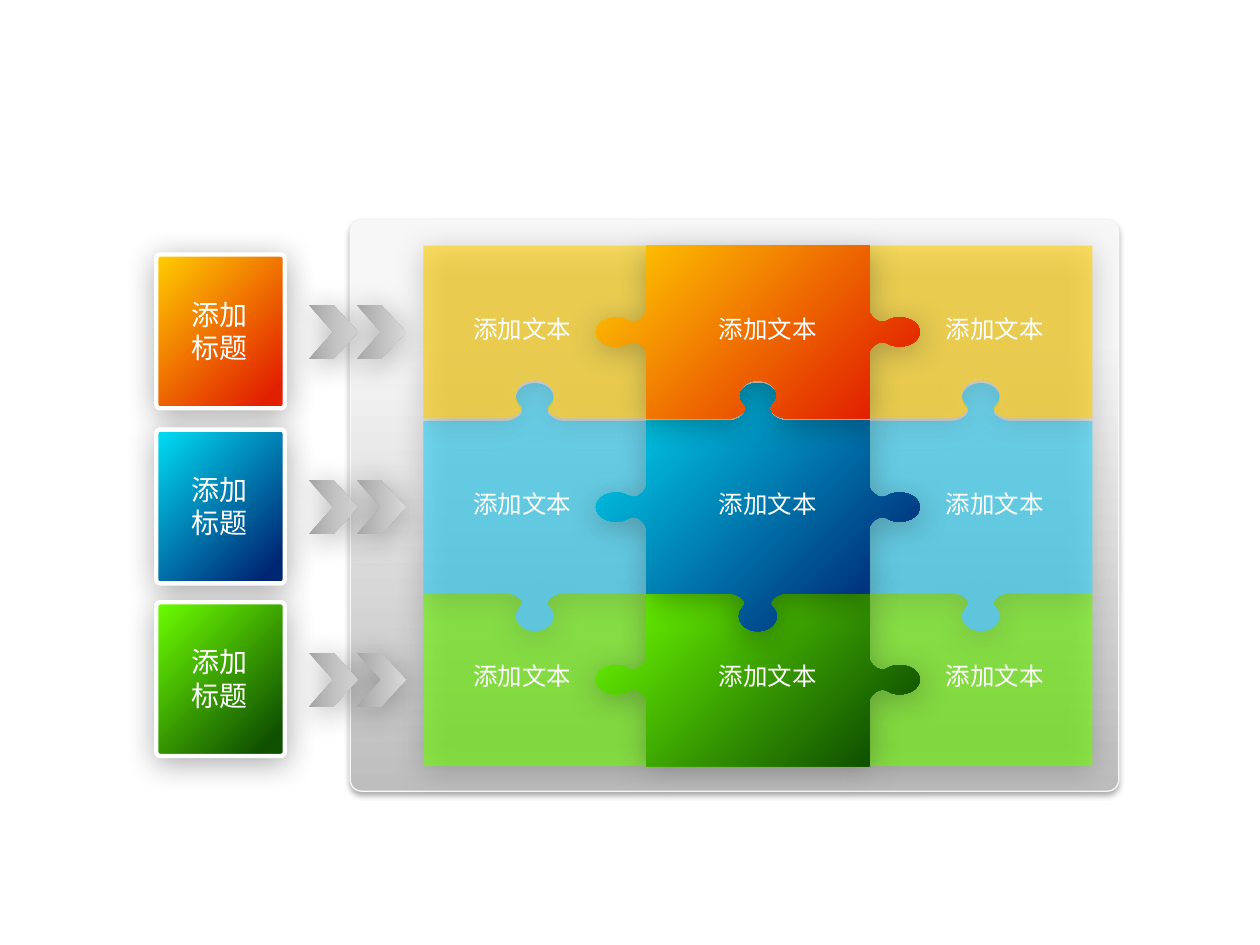
from lxml.etree import SubElement
from pptx import Presentation
from pptx.dml.color import RGBColor
from pptx.enum.shapes import MSO_SHAPE as Shape
from pptx.enum.text import MSO_ANCHOR, MSO_AUTO_SIZE, PP_ALIGN
from pptx.oxml import parse_xml
from pptx.oxml.ns import nsdecls, qn
from pptx.util import Inches, Pt

FONT = "Noto Sans CJK SC"
BLACK, WHITE = RGBColor(0, 0, 0), RGBColor(255, 255, 255)
PANEL_EDGE = RGBColor(0xF9, 0xF9, 0xF9)
PANEL_STOPS = [(0, RGBColor(0xBE, 0xBE, 0xBE)), (80, RGBColor(0xF7, 0xF7, 0xF7)),
               (100, RGBColor(0xF8, 0xF8, 0xF8))]
ARROW_STOPS = [(0, RGBColor(0xA6, 0xA6, 0xA6)), (100, RGBColor(0xD9, 0xD9, 0xD9))]

# One entry per puzzle row: card title, cell texts, pale tint, gradient start and end
ROWS = [
    (["添加", "标题"], ["添加文本"] * 3, RGBColor(0xFF, 0xCF, 0x01),
     RGBColor(0xFF, 0xCF, 0x01), RGBColor(0xE2, 0x20, 0x00)),
    (["添加", "标题"], ["添加文本"] * 3, RGBColor(0x2D, 0xD7, 0xFF),
     RGBColor(0x00, 0xDF, 0xF6), RGBColor(0x00, 0x27, 0x74)),
    (["添加", "标题"], ["添加文本"] * 3, RGBColor(0x6E, 0xFF, 0x01),
     RGBColor(0x6E, 0xFF, 0x01), RGBColor(0x0F, 0x50, 0x00)),
]

# Grid, in inches
ROW_TOPS, ROW_HEIGHT = [1.95, 3.34, 4.71], 1.37
COLUMN_LEFT, COLUMN_WIDTH = 3.36, 1.77
LABEL_LEFTS = [3.41, 5.36, 7.16]
STACKING = [(2, 2), (1, 2), (2, 0), (1, 0), (2, 1), (1, 1), (0, 2), (0, 0), (0, 1)]

# Knobs bulge away from the central piece: sign of the bulge at each inner seam
SEAMS = {1: -1, 2: 1}
ROW_KNOB, COLUMN_KNOB = (0.22, 0.3), (0.17, 0.4)  # half-width along seam, depth

# Knob as a chain of cubic curves, in shares of half-width and depth
HALF_KNOB = [(-1, 0), (-0.77, 0), (-0.27, 0.2), (-0.55, 0.37), (-0.64, 0.43),
             (-0.68, 0.52), (-0.68, 0.6), (-0.68, 0.82), (-0.38, 1)]
KNOB = HALF_KNOB + [(0, 1)] + [(-along, out) for along, out in reversed(HALF_KNOB)]

SOFT_SHADOW = (33, 17.8, 3, 87)  # opacity, blur, distance, direction
PANEL_SHADOW = (35, 3.1, 1.8, 90)


def row_seam(index, middle, y):
    """Knob points along a horizontal seam, left to right; none on the rim."""
    half, depth = ROW_KNOB
    return [(middle + along * half, y + SEAMS[index] * out * depth)
            for along, out in KNOB if index in SEAMS]


def column_seam(index, x, middle):
    """Knob points along a vertical seam, top to bottom; none on the rim."""
    half, depth = COLUMN_KNOB
    return [(x + SEAMS[index] * out * depth, middle + along * half)
            for along, out in KNOB if index in SEAMS]


def piece_segments(row, column):
    """Clockwise segments: one point makes a line, three make a cubic curve."""
    left, top = COLUMN_LEFT + column * COLUMN_WIDTH, ROW_TOPS[row]
    right, bottom = left + COLUMN_WIDTH, top + ROW_HEIGHT
    center, middle = (left + right) / 2, (top + bottom) / 2
    sides = [
        ((left, top), row_seam(row, center, top)),
        ((right, top), column_seam(column + 1, right, middle)),
        ((right, bottom), row_seam(row + 1, center, bottom)[::-1]),
        ((left, bottom), column_seam(column, left, middle)[::-1]),
    ]
    segments = []
    for corner, knob in sides:
        segments.append([corner])
        if knob:
            segments.append(knob[:1])
            segments += [knob[i:i + 3] for i in range(1, len(knob), 3)]
    return segments


def add_piece(shapes, row, column):
    segments = piece_segments(row, column)
    points = [(round(x * 1000), round(y * 1000)) for segment in segments for x, y in segment]
    builder = shapes.build_freeform(*points[0], scale=Inches(1) / 1000)
    builder.add_line_segments(points[1:], close=True)
    piece = builder.convert_to_shape()
    lines = iter(list(piece._element.spPr.iter(qn("a:lnTo"))))
    for segment in segments[1:]:
        nodes = [next(lines) for _ in segment]
        if len(nodes) == 3:
            curve = parse_xml(f'<a:cubicBezTo {nsdecls("a")}/>')
            nodes[0].addprevious(curve)
            for node in nodes:
                curve.append(node[0])
                node.getparent().remove(node)
    return piece


def paint(shape, stops, angle=0, opacity=100, line=None, shadow=SOFT_SHADOW):
    """Fill with one colour or a gradient, then set the outline and outer shadow."""
    if line:
        shape.line.color.rgb, shape.line.width = line[0], Pt(line[1])
    else:
        shape.line.fill.background()
    colors = [f'<a:srgbClr val="{color}"><a:alpha val="{opacity * 1000}"/></a:srgbClr>'
              for _, color in stops]
    if len(stops) == 1:
        fill = f'<a:solidFill {nsdecls("a")}>{colors[0]}</a:solidFill>'
    else:
        marks = "".join(f'<a:gs pos="{position * 1000}">{color}</a:gs>'
                        for (position, _), color in zip(stops, colors))
        fill = (f'<a:gradFill {nsdecls("a")} rotWithShape="1"><a:gsLst>{marks}</a:gsLst>'
                f'<a:lin ang="{angle * 60000}" scaled="0"/></a:gradFill>')
    properties = shape._element.spPr
    properties.find(qn("a:ln")).addprevious(parse_xml(fill))
    alpha, blur, distance, direction = shadow
    properties.append(parse_xml(
        f'<a:effectLst {nsdecls("a")}><a:outerShdw blurRad="{Pt(blur)}" dist="{Pt(distance)}" '
        f'dir="{direction * 60000}" algn="ctr" rotWithShape="0"><a:srgbClr val="{BLACK}">'
        f'<a:alpha val="{alpha * 1000}"/></a:srgbClr></a:outerShdw></a:effectLst>'))


def add_preset(shapes, kind, frame, corner=None):
    shape = shapes.add_shape(kind, *map(Inches, frame))
    if corner is not None:
        shape.adjustments[0] = corner
    return shape


def add_label(shapes, frame, lines, size):
    box = shapes.add_textbox(*map(Inches, frame))
    text = box.text_frame
    text.word_wrap, text.auto_size = True, MSO_AUTO_SIZE.SHAPE_TO_FIT_TEXT
    text.vertical_anchor = MSO_ANCHOR.TOP
    text.text = "\n".join(lines)
    for para in text.paragraphs:
        para.alignment = PP_ALIGN.CENTER
        for span in para.runs:
            span.font.size, span.font.name = Pt(size), FONT
            span.font.color.rgb = WHITE
            SubElement(span.font._element, qn("a:ea"), typeface=FONT)


def main():
    deck = Presentation()
    deck.slide_width, deck.slide_height = Inches(10), Inches(7.5)
    shapes = deck.slides.add_slide(deck.slide_layouts[6]).shapes

    panel = add_preset(shapes, Shape.ROUNDED_RECTANGLE, (2.78, 1.75, 6.1, 4.53), 0.02)
    paint(panel, PANEL_STOPS, 270, line=(PANEL_EDGE, 0.75), shadow=PANEL_SHADOW)

    for row, column in STACKING:
        tint, start, end = ROWS[row][2:]
        piece = add_piece(shapes, row, column)
        if column == 1:
            paint(piece, [(0, start), (90, end), (100, end)], 45)
        else:
            paint(piece, [(0, tint)], opacity=60)

    for (_, texts, *_), top in zip(ROWS, ROW_TOPS):
        for left, text in zip(LABEL_LEFTS, texts):
            add_label(shapes, (left, top + 0.49, 1.47, 0.34), [text], 14)

    for top in ROW_TOPS:
        arrows = shapes.add_group_shape().shapes
        for left in (2.45, 2.83):
            chevron = add_preset(arrows, Shape.CHEVRON, (left, top + 0.47, 0.39, 0.43))
            paint(chevron, ARROW_STOPS)

    for (title, _, _, start, end), top in zip(ROWS, ROW_TOPS):
        card = add_preset(shapes, Shape.ROUNDED_RECTANGLE, (1.24, top + 0.07, 1.02, 1.22), 0.03)
        paint(card, [(0, start), (90, end), (100, end)], 45, line=(WHITE, 2.5))
        add_label(shapes, (1.21, top + 0.36, 1.07, 0.64), title, 16)

    deck.save("out.pptx")


if __name__ == "__main__":
    main()
